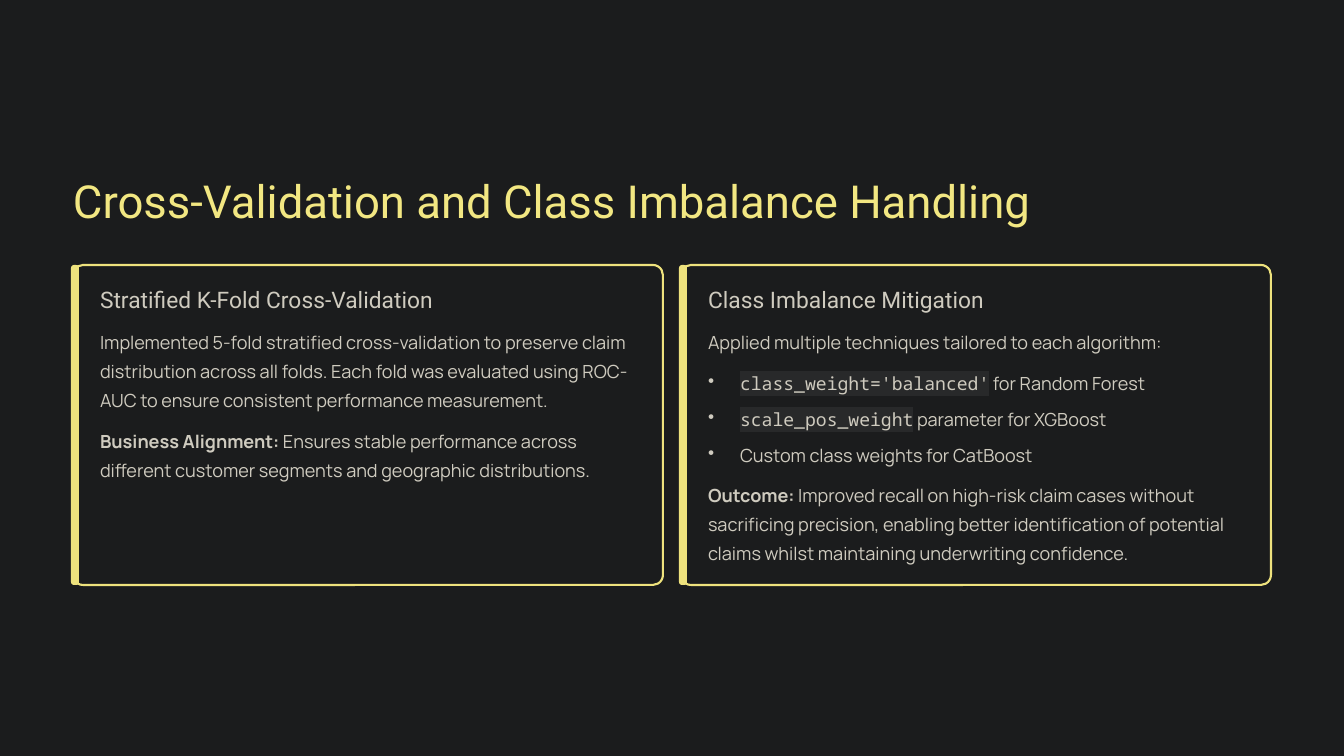
from dataclasses import dataclass

from lxml.etree import SubElement
from pptx import Presentation
from pptx.dml.color import RGBColor
from pptx.enum.shapes import MSO_SHAPE
from pptx.enum.text import MSO_ANCHOR, MSO_AUTO_SIZE, PP_ALIGN
from pptx.oxml.ns import qn
from pptx.util import Emu, Pt

PIXELS_PER_INCH = 84


@dataclass(frozen=True)
class Theme:
    background: str = "1B1C1D"
    title: str = "F2E782"
    accent: str = "EEE27D"
    text: str = "CFCBBF"
    code_fill: str = "28292A"
    heading_font: str = "Roboto"
    body_font: str = "Manrope"
    code_font: str = "Noto Sans Mono"
    title_size: float = 39
    heading_size: float = 19.5
    body_size: float = 15.5
    title_leading: float = 48.5
    heading_leading: float = 24
    body_leading: float = 25
    list_gap: float = 6
    border: float = 1.8


def px(length):
    return Emu(round(length * 914400 / PIXELS_PER_INCH))


def add_span(para, text, *, font, size, color, bold=False, highlight=None):
    span = para.add_run()
    span.text = text
    span.font.name = font
    span.font.size = Pt(size)
    span.font.bold = bold
    span.font.color.rgb = RGBColor.from_string(color)
    if highlight:
        properties = span.font._element
        marker = SubElement(properties, qn("a:highlight"))
        SubElement(marker, qn("a:srgbClr"), val=highlight)
        properties.find(qn("a:solidFill")).addnext(marker)


class SlideBuilder:
    def __init__(self, deck, theme):
        self.theme = theme
        self.page = deck.slides.add_slide(deck.slide_layouts[5])
        fill = self.page.background.fill
        fill.solid()
        fill.fore_color.rgb = RGBColor.from_string(theme.background)

    def prepare(self, box, left, top, width, height):
        box.left, box.top = px(left), px(top)
        box.width, box.height = px(width), px(height)
        frame = box.text_frame
        frame.margin_left = frame.margin_right = 0
        frame.margin_top = frame.margin_bottom = 0
        frame.word_wrap = True
        frame.auto_size = MSO_AUTO_SIZE.NONE
        frame.vertical_anchor = MSO_ANCHOR.TOP
        return frame

    def textbox(self, *place):
        return self.prepare(self.page.shapes.add_textbox(0, 0, 0, 0), *place)

    def title(self, text, *place):
        theme = self.theme
        para = self.prepare(self.page.shapes.title, *place).paragraphs[0]
        para.alignment = PP_ALIGN.LEFT
        para.line_spacing = Pt(theme.title_leading)
        add_span(para, text, font=theme.heading_font, size=theme.title_size, color=theme.title)

    def heading(self, text, *place):
        theme = self.theme
        para = self.textbox(*place).paragraphs[0]
        para.line_spacing = Pt(theme.heading_leading)
        add_span(para, text, font=theme.heading_font, size=theme.heading_size, color=theme.text)

    def paragraph(self, text, *place, lead=None):
        theme = self.theme
        para = self.textbox(*place).paragraphs[0]
        para.line_spacing = Pt(theme.body_leading)
        style = dict(font=theme.body_font, size=theme.body_size, color=theme.text)
        if lead:
            add_span(para, lead, bold=True, **style)
        add_span(para, text, **style)

    def bullets(self, items, *place):
        theme = self.theme
        frame = self.textbox(*place)
        style = dict(size=theme.body_size, color=theme.text)
        for index, (code, text) in enumerate(items):
            para = frame.add_paragraph() if index else frame.paragraphs[0]
            properties = para._p.get_or_add_pPr()
            properties.set("marL", str(px(32)))
            properties.set("indent", str(-px(32)))
            SubElement(properties, qn("a:buChar"), char="•")
            para.line_spacing = Pt(theme.body_leading)
            if index:
                para.space_before = Pt(theme.list_gap)
            if code:
                add_span(para, code, font=theme.code_font, highlight=theme.code_fill, **style)
            add_span(para, text, font=theme.body_font, **style)

    def panel(self, left, top, width, height, *, fill, radius, line=None):
        shape = self.page.shapes.add_shape(
            MSO_SHAPE.ROUNDED_RECTANGLE, px(left), px(top), px(width), px(height))
        shape.adjustments[0] = radius / min(width, height)
        shape.shadow.inherit = False
        shape.fill.solid()
        shape.fill.fore_color.rgb = RGBColor.from_string(fill)
        if line:
            shape.line.color.rgb = RGBColor.from_string(line)
            shape.line.width = Pt(self.theme.border)
        else:
            shape.line.fill.background()

    def card(self, heading, left):
        theme = self.theme
        self.panel(left, 265, 590, 320, fill=theme.background, radius=10, line=theme.accent)
        self.panel(left - 2, 265, 8, 320, fill=theme.accent, radius=3)
        self.heading(heading, left + 27, 285, 543, 29)


def main():
    deck = Presentation()
    deck.slide_width, deck.slide_height = px(1344), px(756)
    slide = SlideBuilder(deck, Theme())
    left, right = 73, 681
    text_left, text_right, text_width = left + 27, right + 27, 543

    slide.title("Cross-Validation and Class Imbalance Handling", left, 171, 1038, 57)

    slide.card("Stratified K-Fold Cross-Validation", left)
    slide.paragraph(
        "Implemented 5-fold stratified cross-validation to preserve claim distribution "
        "across all folds. Each fold was evaluated using ROC-AUC to ensure consistent "
        "performance measurement.",
        text_left, 324, text_width, 87)
    slide.paragraph(
        " Ensures stable performance across different customer segments and geographic "
        "distributions.",
        text_left, 423, text_width, 58, lead="Business Alignment:")

    slide.card("Class Imbalance Mitigation", right)
    slide.paragraph(
        "Applied multiple techniques tailored to each algorithm:",
        text_right, 324, text_width, 29)
    slide.bullets(
        [("class_weight='balanced'", " for Random Forest"),
         ("scale_pos_weight", " parameter for XGBoost"),
         (None, "Custom class weights for CatBoost")],
        text_right, 365, text_width, 102)
    slide.paragraph(
        " Improved recall on high-risk claim cases without sacrificing precision, enabling "
        "better identification of potential claims whilst maintaining underwriting confidence.",
        text_right, 477, text_width, 87, lead="Outcome:")

    deck.save("out.pptx")


if __name__ == "__main__":
    main()
